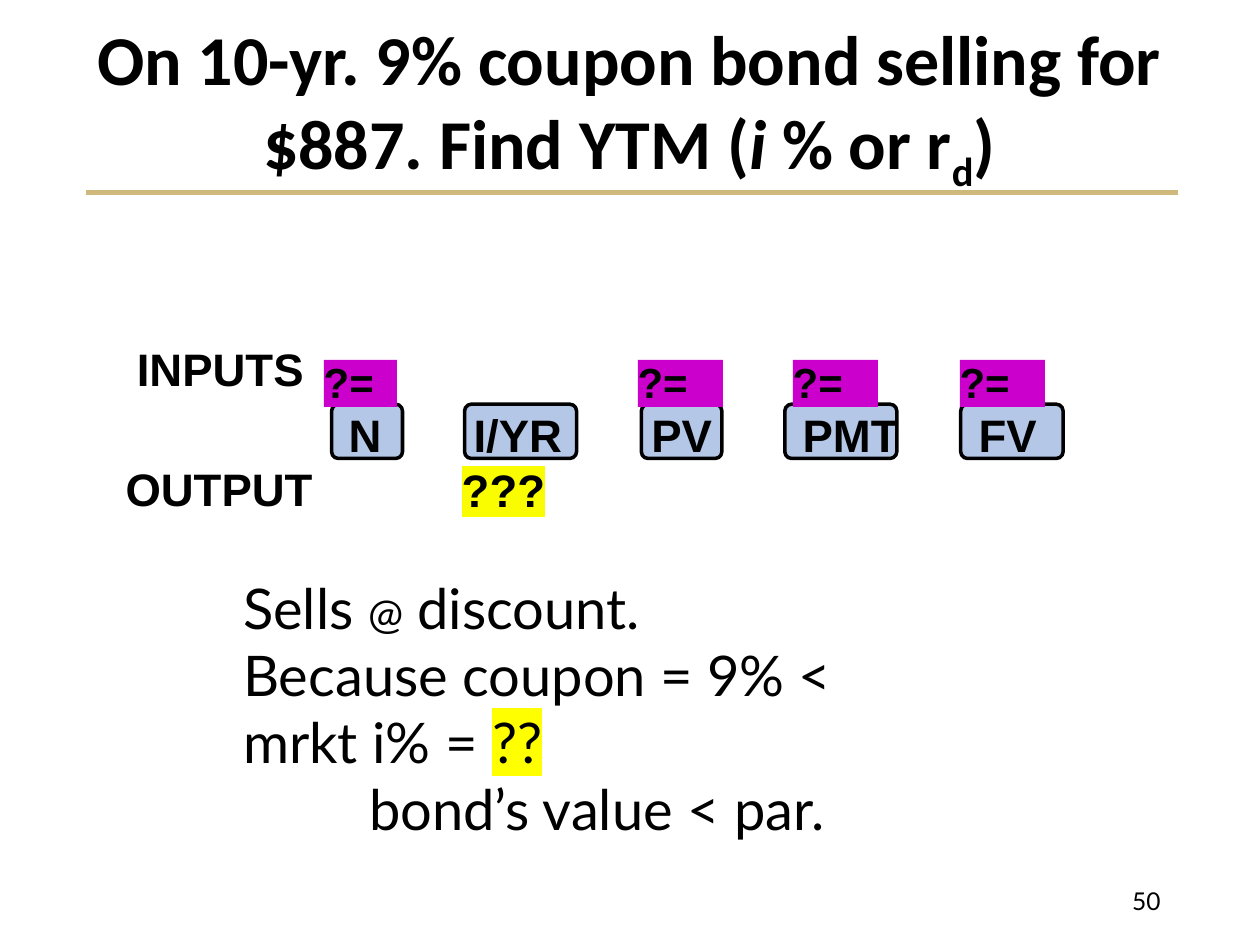
from dataclasses import dataclass

from lxml import etree
from pptx import Presentation
from pptx.dml.color import RGBColor
from pptx.enum.shapes import MSO_CONNECTOR, MSO_SHAPE
from pptx.enum.text import MSO_ANCHOR, PP_ALIGN
from pptx.oxml.ns import qn
from pptx.util import Pt

ROUNDED = MSO_SHAPE.ROUNDED_RECTANGLE
RECTANGLE = MSO_SHAPE.RECTANGLE
STRAIGHT = MSO_CONNECTOR.STRAIGHT
MIDDLE = MSO_ANCHOR.MIDDLE
CENTER = PP_ALIGN.CENTER
RIGHT = PP_ALIGN.RIGHT


@dataclass(frozen=True)
class Theme:
    ink: str = "000000"
    rule: str = "CFB87C"
    key: str = "B4C7E7"
    unknown: str = "CC00CC"
    answer: str = "FAFD00"
    marker: str = "FFFF00"
    title_font: str = "Calibri"
    body_font: str = "Lato"
    key_font: str = "Arial"
    title_size: int = 40
    body_size: int = 32
    key_size: int = 26
    small_size: int = 24
    number_size: int = 14


THEME = Theme()
KEYS = [(189.5, 40.5), (265.5, 64), (366.5, 46), (448.5, 64), (549, 58.5)]
ROWS_LEFT = 48.2
ROWS_INSET = 7.2
UNKNOWNS = [(129.7, 41.7), (309.1, 48.6), (397.7, 48.6), (493.1, 48.6)]
KEY_STOPS = [144, 215.4, 317, 403.4, 504]
ANSWER_STOPS = [208.6]


def add_run(paragraph, text, font, size, bold=False, highlight=None):
    run = paragraph.add_run()
    run.text = text
    run.font.size = Pt(size)
    run.font.bold = bold
    run.font.color.rgb = RGBColor.from_string(THEME.ink)
    run.font.name = font
    if highlight:
        properties = run.font._element
        element = etree.Element(qn("a:highlight"))
        etree.SubElement(element, qn("a:srgbClr"), val=highlight)
        properties.find(qn("a:latin")).addprevious(element)
    return run


def add_tab_stops(paragraph, positions):
    tabs = etree.SubElement(paragraph._p.get_or_add_pPr(), qn("a:tabLst"))
    for position in positions:
        etree.SubElement(tabs, qn("a:tab"), pos=str(int(Pt(position))), algn="l")


def add_text_box(slide, left, top, width, height):
    box = slide.shapes.add_textbox(Pt(left), Pt(top), Pt(width), Pt(height))
    box.text_frame.word_wrap = True
    return box.text_frame


def add_rule(slide):
    rule = slide.shapes.add_connector(STRAIGHT, Pt(49), Pt(110), Pt(673), Pt(110))
    rule.line.color.rgb = RGBColor.from_string(THEME.rule)
    rule.line.width = Pt(3)
    etree.SubElement(rule._element.spPr, qn("a:effectLst"))


def add_title(slide):
    title = slide.shapes.title
    title.left, title.top, title.width, title.height = Pt(48.2), Pt(10.8), Pt(622.8), Pt(99.4)
    frame = title.text_frame
    frame.vertical_anchor = MIDDLE
    frame.margin_left = frame.margin_right = 0
    paragraph = frame.paragraphs[0]
    paragraph.alignment = CENTER
    paragraph.line_spacing = 0.9
    pieces = ["On 10-yr. 9% coupon bond selling for $887. Find YTM (", "i", " % or r", "d", ")"]
    runs = [add_run(paragraph, text, THEME.title_font, THEME.title_size, True) for text in pieces]
    runs[1].font.italic = True
    runs[3].font._element.set("baseline", "-25000")


def add_slide_number(slide):
    frame = add_text_box(slide, 508.3, 500.4, 162, 28.8)
    frame.vertical_anchor = MIDDLE
    paragraph = frame.paragraphs[0]
    paragraph.alignment = RIGHT
    add_run(paragraph, "50", THEME.body_font, THEME.number_size)


def add_explanation(slide):
    frame = add_text_box(slide, 131.8, 324, 462.2, 162)
    lines = [
        [("Sells ", THEME.body_size, None), ("@", THEME.small_size, None), (" discount.", THEME.body_size, None)],
        [("Because coupon = 9% <", THEME.body_size, None)],
        [("mrkt i% = ", THEME.body_size, None), ("??", THEME.body_size, THEME.marker)],
        [("\tbond’s value < par.", THEME.body_size, None)],
    ]
    for index, line in enumerate(lines):
        paragraph = frame.add_paragraph() if index else frame.paragraphs[0]
        add_tab_stops(paragraph, [72])
        for text, size, highlight in line:
            add_run(paragraph, text, THEME.body_font, size, highlight=highlight)


def add_box(slide, kind, left, top, width, height, fill=None, outlined=False):
    shape = slide.shapes.add_shape(kind, Pt(left), Pt(top), Pt(width), Pt(height))
    shape.shadow.inherit = False
    if kind == ROUNDED:
        shape.adjustments[0] = 0.125
    if fill:
        shape.fill.solid()
        shape.fill.fore_color.rgb = RGBColor.from_string(fill)
    else:
        shape.fill.background()
    if outlined:
        shape.line.color.rgb = RGBColor.from_string(THEME.ink)
        shape.line.width = Pt(2)
    else:
        shape.line.fill.background()
    return shape


def add_calculator_rows(slide):
    frame = add_text_box(slide, ROWS_LEFT, 198, 619.2, 100.8)
    unknown_stops = [stop for stop, width in UNKNOWNS]
    unknowns = [("\t", THEME.key_size, None), ("?=", THEME.small_size, None)] * len(UNKNOWNS)
    labels = [("\tN\tI/YR\tPV\tPMT\tFV", THEME.key_size, None)]
    answer = [("\t", THEME.key_size, None), ("???", THEME.key_size, THEME.answer)]
    rows = [(unknown_stops, unknowns), (KEY_STOPS, labels), (ANSWER_STOPS, answer)]
    for index, (stops, pieces) in enumerate(rows):
        paragraph = frame.add_paragraph() if index else frame.paragraphs[0]
        add_tab_stops(paragraph, stops)
        for text, size, highlight in pieces:
            add_run(paragraph, text, THEME.key_font, size, True, highlight)


def add_row_label(slide, text, left, top):
    frame = add_box(slide, ROUNDED, left, top, 108, 44.6).text_frame
    frame.word_wrap = False
    frame.vertical_anchor = MIDDLE
    paragraph = frame.paragraphs[0]
    paragraph.alignment = CENTER
    add_run(paragraph, text, THEME.key_font, THEME.key_size, True)


def main():
    presentation = Presentation()
    presentation.slide_width, presentation.slide_height = Pt(720), Pt(540)
    slide = presentation.slides.add_slide(presentation.slide_layouts[5])
    add_rule(slide)
    add_slide_number(slide)
    add_title(slide)
    add_explanation(slide)
    for left, width in KEYS:
        add_box(slide, ROUNDED, left, 231, width, 31, THEME.key, outlined=True)
    for stop, width in UNKNOWNS:
        add_box(slide, RECTANGLE, ROWS_LEFT + ROWS_INSET + stop, 205.7, width, 26.8, THEME.unknown)
    add_calculator_rows(slide)
    add_row_label(slide, "INPUTS", 72, 188)
    add_row_label(slide, "OUTPUT", 71.3, 257)
    presentation.save("out.pptx")


if __name__ == "__main__":
    main()
